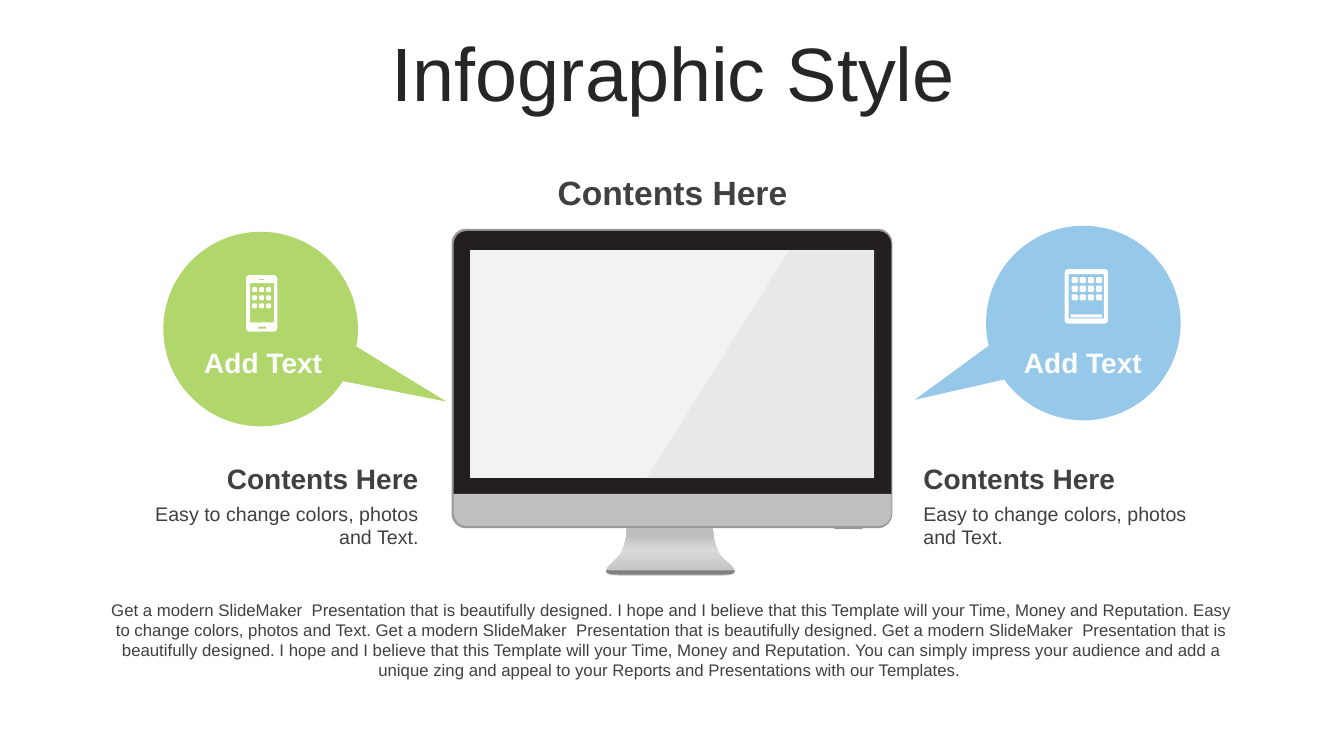
from copy import deepcopy
from itertools import islice
from lxml.etree import SubElement
from pptx import Presentation
from pptx.dml.color import RGBColor
from pptx.enum.shapes import MSO_SHAPE
from pptx.enum.text import MSO_ANCHOR, PP_ALIGN
from pptx.oxml.ns import qn
from pptx.util import Inches, Pt

COLORS = {
    "title": "262626", "text": "404040", "white": "FFFFFF",
    "green": "B0D66C", "blue": "96C8E9", "edge": "999999",
    "bezel": "231F20", "chin": "BFBFBF", "base": "808080",
    "screen": "F2F2F2", "shine": "D9D9D9",
}
EASY = "Easy to change colors, photos and Text."
MODERN = "Get a modern SlideMaker  Presentation that is beautifully designed. "
HOPE = "I hope and I believe that this Template will your Time, Money and Reputation. "
FOOTER = (MODERN + HOPE + EASY + " " + MODERN + MODERN + HOPE
          + "You can simply impress your audience and add a unique zing and appeal "
          "to your Reports and Presentations with our Templates. ")

TEXTS = [
    ("Infographic Style", (0.35, 0.37, 12.66, 0.79), 54, "title", False, PP_ALIGN.CENTER),
    ("Add Text", (1.8, 3.38, 1.62, 0.44), 20, "white", True, PP_ALIGN.CENTER),
    ("Contents Here", (1.39, 4.53, 2.86, 0.44), 20, "text", True, PP_ALIGN.RIGHT),
    (EASY, (1.39, 4.93, 2.86, 0.57), 14, "text", False, PP_ALIGN.RIGHT),
    ("Contents Here", (9.06, 4.53, 2.88, 0.44), 20, "text", True, PP_ALIGN.LEFT),
    (EASY, (9.06, 4.93, 2.88, 0.57), 14, "text", False, PP_ALIGN.LEFT),
    ("Add Text", (9.93, 3.38, 1.62, 0.44), 20, "white", True, PP_ALIGN.CENTER),
    ("Contents Here", (5.11, 1.66, 3.12, 0.5), 24, "text", True, PP_ALIGN.CENTER),
    (FOOTER, (0.95, 5.9, 11.43, 0.91), 12, "text", False, PP_ALIGN.CENTER),
]
BUBBLES = [
    ((9.78, 2.24, 1.93, 1.93), "blue", (-0.534, 0.788)),
    ((1.62, 2.3, 1.93, 1.93), "green", (1.009, -0.179)),
]
STAND = [(7.16, 5.53), [(7.07, 5.44), (7.07, 5.23), (7.07, 5.23)], (6.22, 5.23),
         [(6.22, 5.23), (6.22, 5.43), (6.13, 5.53)],
         [(6.04, 5.62), (5.9, 5.71), (6.15, 5.71)], (7.15, 5.71),
         [(7.4, 5.71), (7.26, 5.62), (7.16, 5.53)]]
BASE = [(6.01, 5.66), [(6.01, 5.69), (6.05, 5.7), (6.15, 5.7)], (7.16, 5.7),
        [(7.26, 5.7), (7.29, 5.69), (7.29, 5.66)]]
SHINE = [(7.83, 2.48), (8.69, 2.48), (8.68, 4.75), (6.41, 4.75)]
STAND_STOPS = [(0, "chin"), (0.53, "shine"), (0.83, "chin"), (1, "chin")]
FRAME = ((4.48, 2.27, 4.37, 2.97), 0.14, 0.14)
FOOT = ((8.27, 5.22, 0.29, 0.03), 0, 0.02)
BEZEL = ((4.5, 2.29, 4.34, 2.61), 0.13, 0)
CHIN = ((4.5, 4.9, 4.34, 0.32), 0, 0.13)
SCREEN = ((4.66, 2.48, 4.01, 2.26), 0, 0)
ICONS = [
    {"body": (10.56, 2.67, 0.43, 0.54), "screen": (10.6, 2.72, 0.35, 0.44),
     "grid": (10.63, 2.75, 4, 3, 0.08, 0.085, 0.06),
     "details": [(10.62, 3.12, 0.31, 0.03)]},
    {"body": (2.44, 2.73, 0.31, 0.56), "screen": (2.48, 2.81, 0.24, 0.39),
     "grid": (2.5, 2.85, 3, 3, 0.07, 0.08, 0.05),
     "details": [(2.56, 3.24, 0.08, 0.02), (2.57, 2.77, 0.05, 0.01)]},
]


def rounded(box, top=0, bottom=0):
    x, y, w, h = box
    right, low = x + w, y + h
    corners = [((x, y), (0, 1), (1, 0), top), ((right, y), (-1, 0), (0, 1), top),
               ((right, low), (0, -1), (-1, 0), bottom), ((x, low), (1, 0), (0, -1), bottom)]
    segments = []
    for (cx, cy), enter, leave, radius in corners:
        if not radius:
            segments.append((cx, cy))
            continue
        start, ctrl1, ctrl2, end = (
            (cx + dx * radius * k, cy + dy * radius * k)
            for (dx, dy), k in ((enter, 1), (enter, 0.45), (leave, 0.45), (leave, 1)))
        segments += [start, [ctrl1, ctrl2, end]]
    return segments


def paint(sp, color):
    sp.shadow.inherit = False
    sp.line.fill.background()
    sp.fill.solid()
    sp.fill.fore_color.rgb = RGBColor.from_string(COLORS[color])
    return sp


def add_outline(s, contours, color):
    fb, steps = None, []
    for first, *segments in contours:
        start = tuple(map(Inches, first))
        if fb is None:
            fb = s.shapes.build_freeform(*start)
        else:
            fb.move_to(*start)
        groups = [seg if isinstance(seg, list) else [seg] for seg in segments]
        steps += map(len, groups)
        fb.add_line_segments([(Inches(x), Inches(y)) for group in groups for x, y in group],
                             close=True)
    sp = fb.convert_to_shape()
    path_el = sp.element.spPr.find(".//" + qn("a:path"))
    lines = iter(path_el.findall(qn("a:lnTo")))
    for count in steps:
        head, *rest = islice(lines, count)
        if rest:
            head.tag = qn("a:cubicBezTo")
        for line in rest:
            head.append(line[0])
            path_el.remove(line)
    return paint(sp, color)


def add_text(s, text, box, size, color, bold, align):
    tf = s.shapes.add_textbox(*map(Inches, box)).text_frame
    tf.word_wrap = True
    p = tf.paragraphs[0]
    p.text = text
    p.alignment = align
    p.font.name = "Arial"
    p.font.size = Pt(size)
    p.font.bold = bold
    p.font.color.rgb = RGBColor.from_string(COLORS[color])
    return tf


def add_icon(s, icon):
    left, top, cols, rows, dx, dy, size = icon["grid"]
    dots = [rounded((left + col * dx, top + row * dy, size, size), 0.01, 0.01)
            for row in range(rows) for col in range(cols)]
    details = [rounded(box) for box in icon["details"]]
    add_outline(s, [rounded(icon["body"], 0.03, 0.03), rounded(icon["screen"]),
                    *dots, *details], "white")


def add_monitor(s):
    stand = add_outline(s, [STAND], "chin")
    stand.fill.gradient()
    stand.fill.gradient_angle = 90
    stops = stand.element.spPr.find(".//" + qn("a:gsLst"))
    for _ in range(len(STAND_STOPS) - len(stops)):
        stops.append(deepcopy(stops[0]))
    for stop, (position, color) in zip(stand.fill.gradient_stops, STAND_STOPS):
        stop.position = position
        stop.color.rgb = RGBColor.from_string(COLORS[color])
    parts = [(rounded(*FRAME), "edge"), (rounded(*FOOT), "edge"), (rounded(*BEZEL), "bezel"),
             (BASE, "base"), (rounded(*CHIN), "chin"), (rounded(*SCREEN), "screen")]
    for contour, color in parts:
        add_outline(s, [contour], color)
    shine = add_outline(s, [SHINE], "edge")
    rgb = shine.element.spPr.find(qn("a:solidFill")).find(qn("a:srgbClr"))
    SubElement(rgb, qn("a:alpha")).set("val", "10000")


def main():
    prs = Presentation()
    prs.slide_width, prs.slide_height = Inches(13.33), Inches(7.5)
    s = prs.slides.add_slide(prs.slide_layouts[6])
    add_monitor(s)
    for box, color, tip in BUBBLES:
        sp = s.shapes.add_shape(MSO_SHAPE.OVAL_CALLOUT, *map(Inches, box))
        sp.adjustments[0], sp.adjustments[1] = tip
        sp.rotation = 31.4
        paint(sp, color)
    frames = [add_text(s, *item) for item in TEXTS]
    frames[0].vertical_anchor = MSO_ANCHOR.MIDDLE
    frames[0].paragraphs[0].line_spacing = 0.9
    for icon in ICONS:
        add_icon(s, icon)
    prs.save("out.pptx")


if __name__ == "__main__":
    main()
